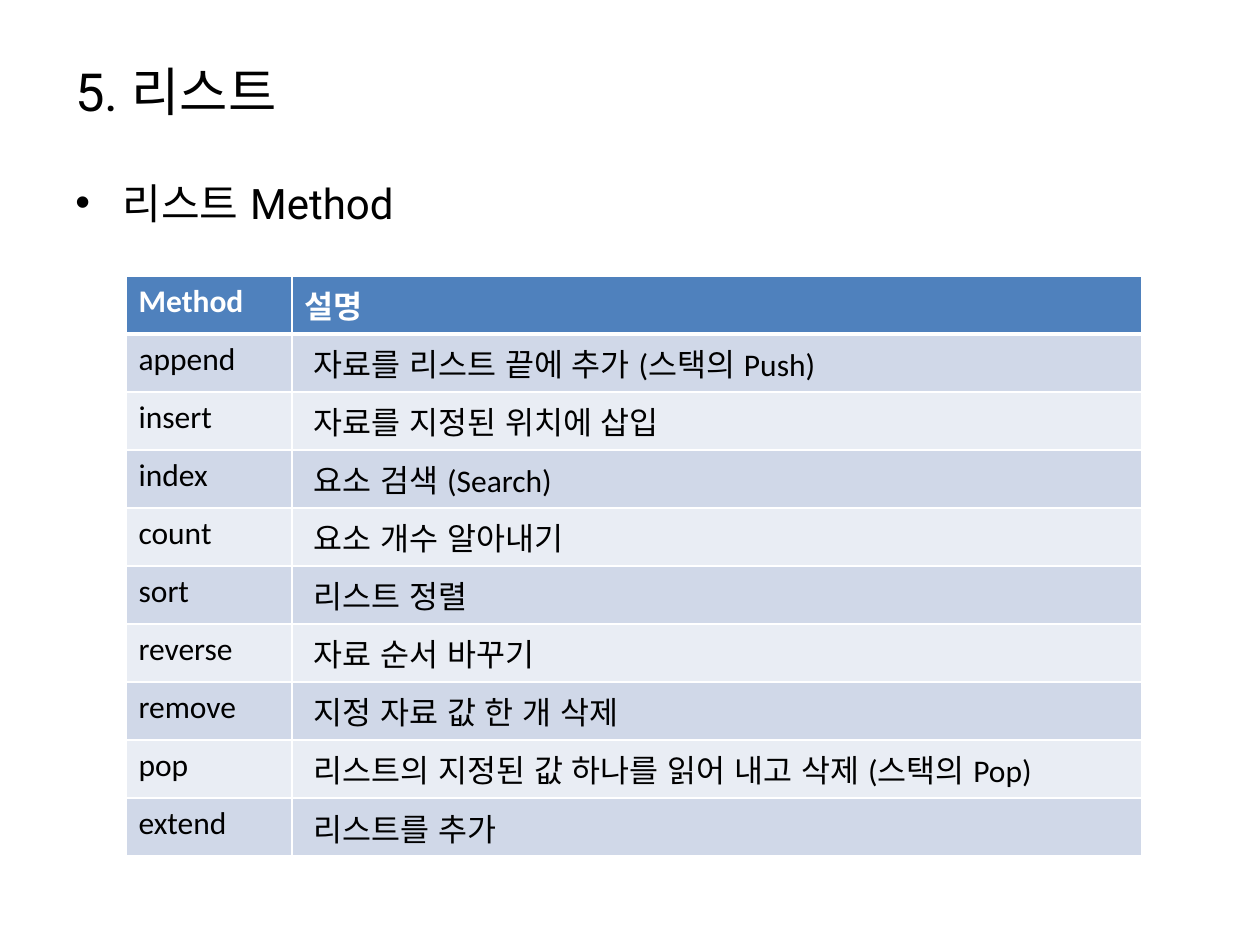
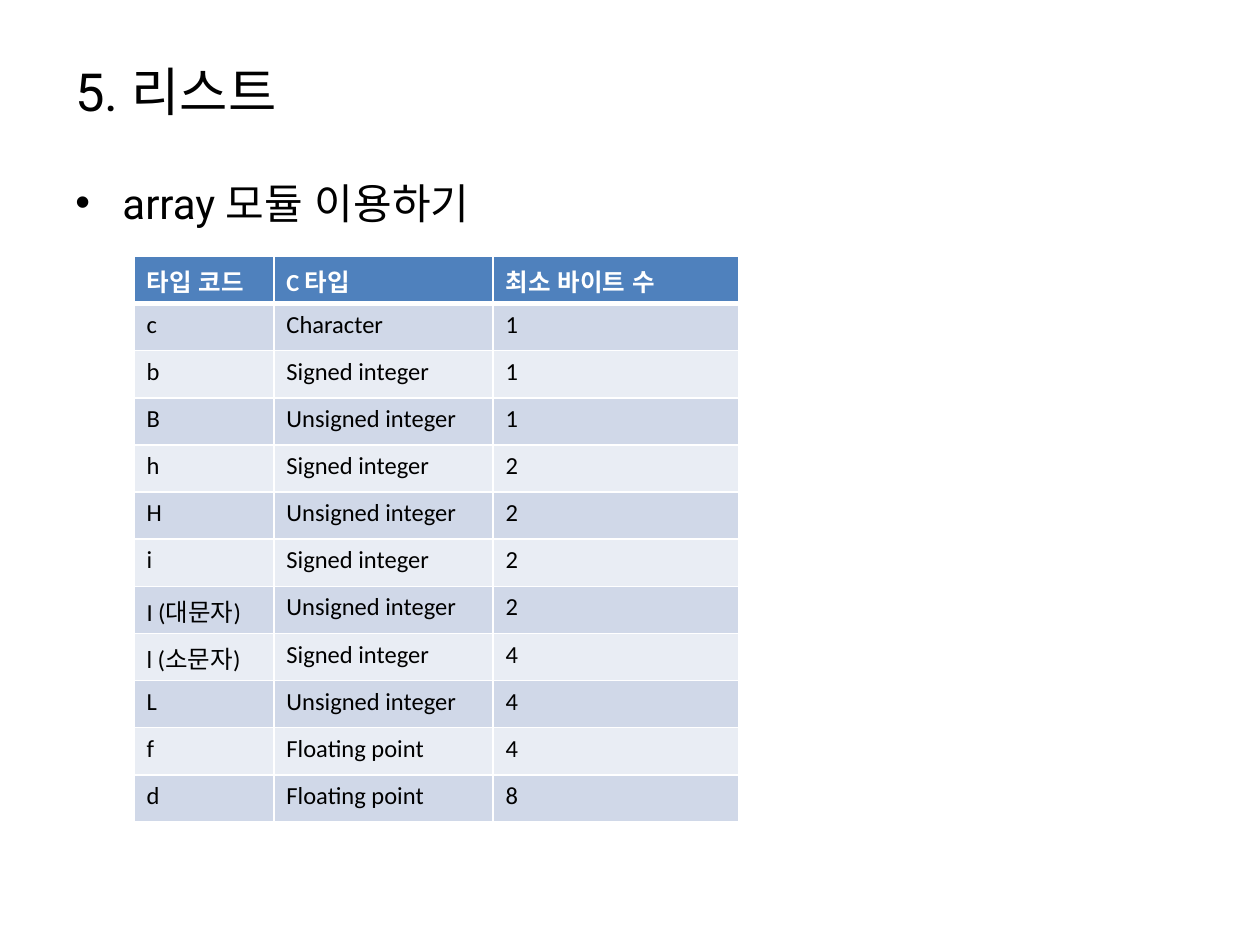
from lxml import etree
from pptx import Presentation
from pptx.dml.color import RGBColor
from pptx.enum.lang import MSO_LANGUAGE_ID
from pptx.enum.text import MSO_ANCHOR, PP_ALIGN
from pptx.oxml.ns import qn
from pptx.util import Cm, Pt

MIDDLE, TOP = MSO_ANCHOR.MIDDLE, MSO_ANCHOR.TOP
LEFT = PP_ALIGN.LEFT
KOREAN = MSO_LANGUAGE_ID.KOREAN
BLACK = RGBColor(0x00, 0x00, 0x00)
WHITE = RGBColor(0xFF, 0xFF, 0xFF)
BLUE = RGBColor(0x4F, 0x81, 0xBD)
DARK = RGBColor(0xD0, 0xD8, 0xE8)
LIGHT = RGBColor(0xE9, 0xED, 0xF4)

METHODS = [
    ("Method", "설명"),
    ("append", " 자료를 리스트 끝에 추가 (스택의 Push)"),
    ("insert", " 자료를 지정된 위치에 삽입"),
    ("index", " 요소 검색 (Search)"),
    ("count", " 요소 개수 알아내기"),
    ("sort", " 리스트 정렬"),
    ("reverse", " 자료 순서 바꾸기"),
    ("remove", " 지정 자료 값 한 개 삭제"),
    ("pop", " 리스트의 지정된 값 하나를 읽어 내고 삭제 (스택의 Pop)"),
    ("extend", " 리스트를 추가"),
]

TYPES = [
    ("타입 코드", "C 타입", "최소 바이트 수"),
    ("c", "Character", "1"),
    ("b", "Signed integer", "1"),
    ("B", "Unsigned integer", "1"),
    ("h", "Signed integer", "2"),
    ("H", "Unsigned integer", "2"),
    ("i", "Signed integer", "2"),
    ("I (대문자)", "Unsigned integer", "2"),
    ("l (소문자)", "Signed integer", "4"),
    ("L", "Unsigned integer", "4"),
    ("f", "Floating point", "4"),
    ("d", "Floating point", "8"),
]


class Deck:
    """Holds the shared style and the current slide."""

    head_font, cell_font = "Roboto", "Calibri"

    def __init__(self):
        self.prs = Presentation()
        self.prs.slide_width, self.prs.slide_height = Cm(25.4), Cm(19.05)
        self.slide = None

    def page(self, title, point):
        self.slide = self.prs.slides.add_slide(self.prs.slide_layouts[6])
        self.text(title, 0.76, 2.13, 30, MIDDLE)
        self.bullet(self.text(point, 3.45, 13.56, 24, TOP))

    def style(self, para, size, font, color, bold=False):
        for run in para.runs:
            run.font.size, run.font.name = Pt(size), font
            run.font.color.rgb, run.font.bold = color, bold
            run.font.language_id = KOREAN

    def text(self, words, top, height, size, anchor):
        box = self.slide.shapes.add_textbox(Cm(1.27), Cm(top), Cm(22.86), Cm(height))
        frame = box.text_frame
        frame.text = words
        frame.word_wrap, frame.vertical_anchor = True, anchor
        para = frame.paragraphs[0]
        para.alignment = LEFT
        self.style(para, size, self.head_font, BLACK)
        return para

    def bullet(self, para):
        props = para._p.get_or_add_pPr()
        props.set("marL", str(Cm(0.95)))
        props.set("indent", str(-Cm(0.95)))
        etree.SubElement(props, qn("a:buFont"), typeface="Arial")
        etree.SubElement(props, qn("a:buChar"), char="•")

    def border(self, cell, row):
        props = cell._tc.get_or_add_tcPr()
        widths = {"L": 1, "R": 1, "T": 3 if row == 1 else 1, "B": 3 if row == 0 else 1}
        for side, width in widths.items():
            line = etree.SubElement(props, qn(f"a:ln{side}"), w=str(Pt(width)))
            fill = etree.SubElement(line, qn("a:solidFill"))
            etree.SubElement(fill, qn("a:srgbClr"), val=str(WHITE))

    def table(self, rows, left, top, widths, height, size):
        frame = self.slide.shapes.add_table(
            len(rows), len(widths), Cm(left), Cm(top),
            Cm(sum(widths)), Cm(height * len(rows)))
        grid = frame.table
        for col, width in zip(grid.columns, widths):
            col.width = Cm(width)
        for i, words in enumerate(rows):
            grid.rows[i].height = Cm(height)
            head = i == 0
            for j, word in enumerate(words):
                cell = grid.cell(i, j)
                cell.text_frame.text = word
                self.style(cell.text_frame.paragraphs[0], size, self.cell_font,
                           WHITE if head else BLACK, head)
                self.border(cell, i)
                cell.fill.solid()
                cell.fill.fore_color.rgb = BLUE if head else DARK if i % 2 else LIGHT


def main():
    deck = Deck()
    deck.page("5. 리스트", "리스트 Method")
    deck.table(METHODS, 2.54, 5.56, (3.35, 17.12), 1.17, 18)
    deck.page("5. 리스트", "array 모듈 이용하기")
    deck.table(TYPES, 2.7, 5.17, (2.82, 4.42, 4.95), 0.95, 14)
    deck.prs.save("out.pptx")


if __name__ == "__main__":
    main()
